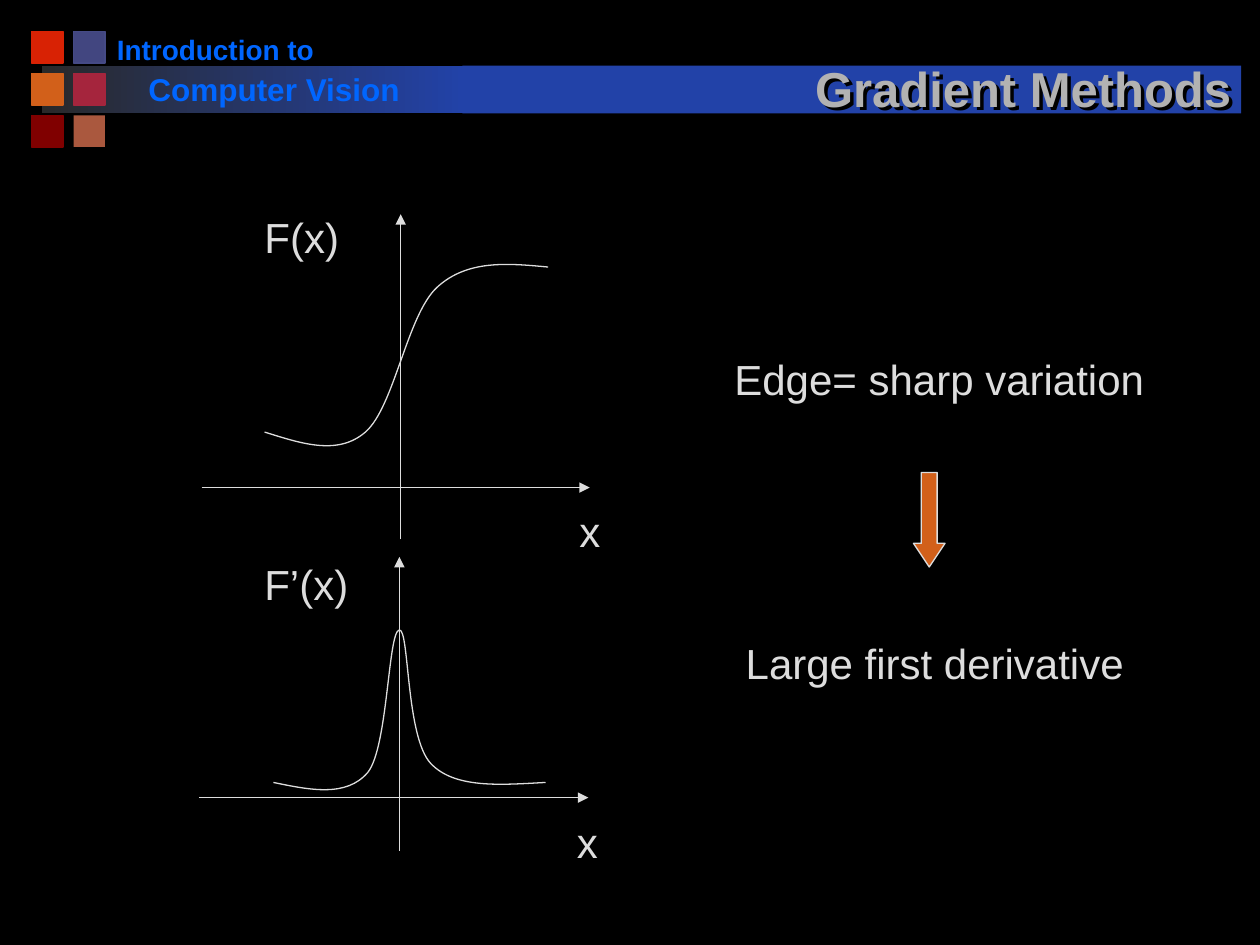
from dataclasses import dataclass

from lxml.etree import SubElement
from pptx import Presentation
from pptx.dml.color import RGBColor
from pptx.enum.shapes import MSO_CONNECTOR as Connector, MSO_SHAPE as Shape
from pptx.enum.text import MSO_ANCHOR as Anchor, PP_ALIGN as Align
from pptx.oxml import parse_xml
from pptx.oxml.ns import nsdecls, qn
from pptx.util import Inches, Pt


@dataclass(frozen=True)
class Theme:
    font: str = "Arial"
    background: str = "000000"
    ink: str = "DDDDDD"
    title: str = "B2B2B2"
    course: str = "0066FF"
    band_start: str = "292929"
    band: str = "2242A8"
    accent: str = "D2601A"
    title_size: int = 28
    body_size: int = 24
    course_sizes: tuple = (16, 18)
    hairline: float = 0.75


THEME = Theme()

TILE_ROWS = [
    [("D82204", "D82204"), ("424680", "454A85")],
    [(THEME.accent, THEME.accent), ("A5253D", "A5253D")],
    [("800000", "800000"), ("AA583E", None)],
]
TILE_START, TILE_PITCH, TILE_SIZE = 0.25, 1 / 3, 0.25

COURSE_LINES = [
    ("Introduction to", (0.83, 0.21, 1.78, 0.37)),
    ("Computer Vision", (1.08, 0.51, 2.83, 0.4)),
]
LABELS = [
    ("F(x)", (2, 1.63, 0.79, 0.5)),
    ("x", (4.5, 3.96, 0.37, 0.5)),
    ("F’(x)", (2, 4.38, 0.87, 0.5)),
    ("x", (4.48, 6.43, 0.37, 0.5)),
    ("Edge= sharp variation", (5.73, 2.76, 3.46, 0.5)),
    ("Large first derivative", (5.82, 5.01, 3.2, 0.5)),
]
AXES = [
    ((1.6, 3.87), (4.68, 3.87)),
    ((3.18, 4.28), (3.18, 1.7)),
    ((1.58, 6.33), (4.67, 6.33)),
    ((3.17, 6.75), (3.17, 4.42)),
]
STEP_CURVE = [
    (2.1, 3.43), (2.39, 3.52), (2.68, 3.62), (2.9, 3.43), (3.13, 3.23),
    (3.23, 2.5), (3.47, 2.28), (3.71, 2.06), (4.03, 2.09), (4.35, 2.12),
]
PEAK_CURVE = [
    (2.17, 6.21), (2.46, 6.27), (2.75, 6.33), (2.92, 6.13), (3.08, 5.93),
    (3.08, 5.01), (3.17, 5), (3.25, 4.99), (3.22, 5.85), (3.42, 6.06),
    (3.61, 6.26), (3.97, 6.23), (4.33, 6.21),
]


def color(value):
    return RGBColor.from_string(value)


def set_line(line, value, width=THEME.hairline):
    if value is None:
        line.fill.background()
        return
    line.color.rgb = color(value)
    line.width = Pt(width)


def add_block(page, kind, place, fill, outline=None, width=THEME.hairline):
    block = page.shapes.add_shape(kind, *map(Inches, place))
    block.shadow.inherit = False
    block.fill.solid()
    block.fill.fore_color.rgb = color(fill)
    set_line(block.line, outline, width)
    return block


def add_text(page, text, place, size, ink, bold=False, wrap=False):
    box = page.shapes.add_textbox(*map(Inches, place))
    box.text_frame.word_wrap = wrap
    span = box.text_frame.paragraphs[0].add_run()
    span.text = text
    font = span.font
    font.name, font.size, font.bold = THEME.font, Pt(size), bold
    font.color.rgb = color(ink)
    return box


def add_title(page):
    box = add_text(page, "Gradient Methods", (6.24, 0.31, 3.76, 0.67),
                   THEME.title_size, THEME.title, bold=True, wrap=True)
    box.text_frame.vertical_anchor = Anchor.BOTTOM
    box.text_frame.paragraphs[0].alignment = Align.CENTER
    box._element.spPr.append(parse_xml(
        f'<a:effectLst {nsdecls("a")}><a:outerShdw dist="35921" dir="2700000">'
        f'<a:srgbClr val="{THEME.background}"/></a:outerShdw></a:effectLst>'))


def add_band(page):
    fade = add_block(page, Shape.RECTANGLE, (0.33, 0.52, 3.36, 0.38), THEME.band)
    fade.fill.gradient()
    fade.fill.gradient_angle = 0
    stops = zip(fade.fill.gradient_stops, (0, 1), (THEME.band_start, THEME.band))
    for stop, position, value in stops:
        stop.position = position
        stop.color.rgb = color(value)
    add_block(page, Shape.RECTANGLE, (3.67, 0.52, 6.18, 0.38), THEME.band)


def add_tiles(page):
    for row, tiles in enumerate(TILE_ROWS):
        for column, (fill, outline) in enumerate(tiles):
            left = TILE_START + column * TILE_PITCH
            top = TILE_START + row * TILE_PITCH
            add_block(page, Shape.RECTANGLE, (left, top, TILE_SIZE, TILE_SIZE),
                      fill, outline, 1)


def add_axis(page, start, end):
    axis = page.shapes.add_connector(Connector.STRAIGHT, *map(Inches, start + end))
    set_line(axis.line, THEME.ink)
    SubElement(axis.line._get_or_add_ln(), qn("a:tailEnd"), type="triangle")
    SubElement(axis._element.spPr, qn("a:effectLst"))


def add_curve(page, knots):
    points = [(Inches(x), Inches(y)) for x, y in knots]
    builder = page.shapes.build_freeform(*points[0])
    builder.add_line_segments(points[1:], close=False)
    curve = builder.convert_to_shape()
    segments = list(curve._element.iter(qn("a:lnTo")))
    outline = segments[0].getparent()
    for first in range(0, len(segments), 3):
        bezier = SubElement(outline, qn("a:cubicBezTo"))
        for segment in segments[first:first + 3]:
            bezier.append(segment[0])
            outline.remove(segment)
    curve.shadow.inherit = False
    curve.fill.background()
    set_line(curve.line, THEME.ink)


def main():
    deck = Presentation()
    deck.slide_width, deck.slide_height = Inches(10), Inches(7.5)
    page = deck.slides.add_slide(deck.slide_layouts[6])
    page.background.fill.solid()
    page.background.fill.fore_color.rgb = color(THEME.background)

    add_band(page)
    add_tiles(page)
    for (text, place), size in zip(COURSE_LINES, THEME.course_sizes):
        add_text(page, text, place, size, THEME.course, bold=True, wrap=size == 18)
    add_title(page)

    for start, end in AXES:
        add_axis(page, start, end)
    for knots in (STEP_CURVE, PEAK_CURVE):
        add_curve(page, knots)
    for text, place in LABELS:
        add_text(page, text, place, THEME.body_size, THEME.ink)

    arrow = add_block(page, Shape.DOWN_ARROW, (7.25, 3.75, 0.25, 0.75),
                      THEME.accent, THEME.ink)
    arrow.adjustments[0], arrow.adjustments[1] = 0.5, 0.75

    deck.save("out.pptx")


if __name__ == "__main__":
    main()
